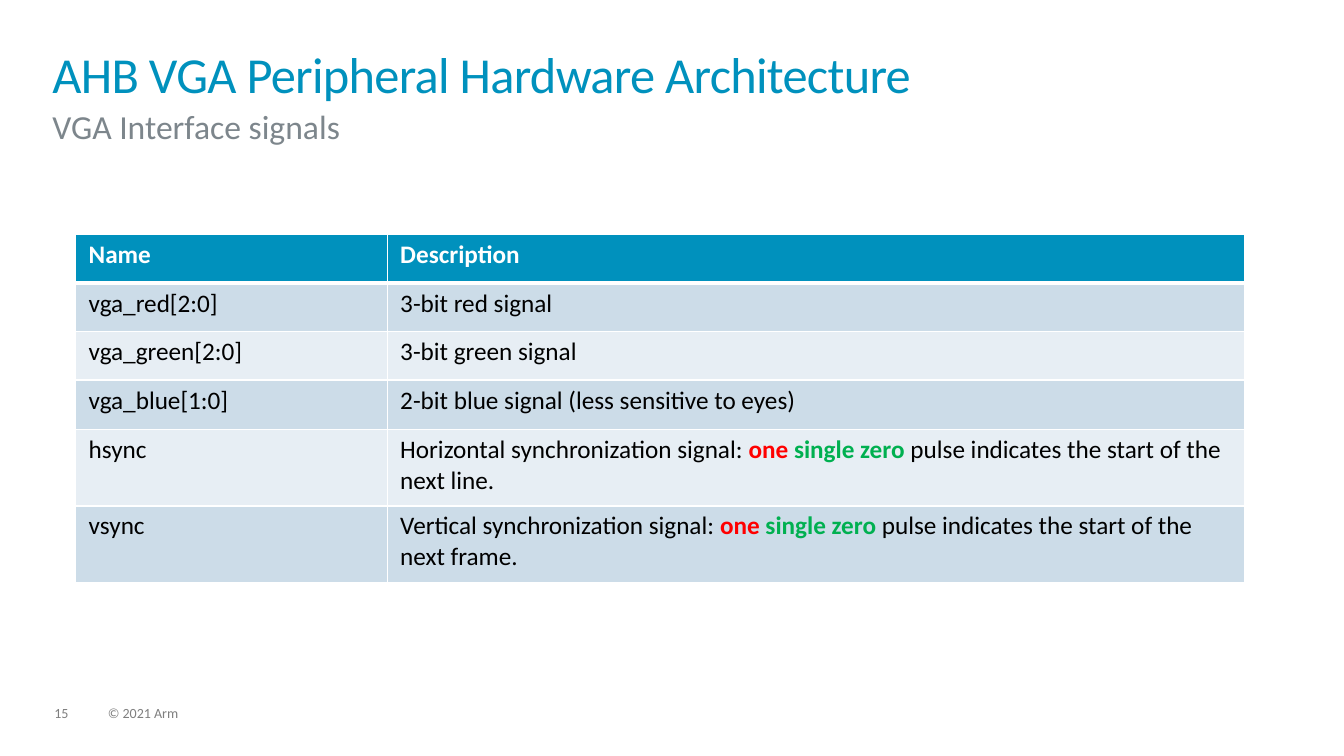
from lxml import etree
from pptx import Presentation
from pptx.dml.color import RGBColor
from pptx.enum.text import MSO_ANCHOR, PP_ALIGN
from pptx.oxml.ns import qn
from pptx.util import Inches, Pt

TOP = MSO_ANCHOR.TOP
LEFT = PP_ALIGN.LEFT
FONT = "Calibri"
WIDTH, HEIGHT = 13.33, 7.5
TEAL, SLATE, GRAY = "0091BD", "7D868C", "7F7F7F"
WHITE, BLACK, RED, GREEN = "FFFFFF", "000000", "FF0000", "00B050"
BANDS = ["CCDCE8", "E7EEF4"]
COLUMN_WIDTHS = [3.09, 8.5]
ROW_HEIGHTS = [0.48, 0.48, 0.48, 0.49, 0.76, 0.76]


def sync_description(direction, unit):
    """Return the runs describing a synchronization signal."""
    return [
        (f"{direction} synchronization signal: ", {}),
        ("one ", {"color": RED, "bold": True}),
        ("single zero", {"color": GREEN, "bold": True}),
        (f" pulse indicates the start of the next {unit}.", {}),
    ]


SIGNALS = [
    ("Name", "Description"),
    ("vga_red[2:0]", "3-bit red signal"),
    ("vga_green[2:0]", "3-bit green signal"),
    ("vga_blue[1:0]", "2-bit blue signal (less sensitive to eyes)"),
    ("hsync", sync_description("Horizontal", "line")),
    ("vsync", sync_description("Vertical", "frame")),
]


def rgb(value):
    """Turn a hex string into a colour."""
    return RGBColor.from_string(value)


def add_run(paragraph, text, size=18, color=BLACK, bold=False, tracking=None):
    """Add one formatted run; tracking is in points."""
    run = paragraph.add_run()
    run.text = text
    run.font.name = FONT
    run.font.size = Pt(size)
    run.font.bold = bold
    run.font.color.rgb = rgb(color)
    if tracking is not None:
        run.font._element.set("spc", str(round(tracking * 100)))


def add_text(slide, text, box, line_spacing=1.0, **style):
    """Add a text box without insets at left, top, width, height."""
    frame = slide.shapes.add_textbox(*map(Inches, box)).text_frame
    frame.word_wrap = True
    frame.vertical_anchor = TOP
    frame.margin_left = frame.margin_right = 0
    frame.margin_top = frame.margin_bottom = 0
    paragraph = frame.paragraphs[0]
    paragraph.alignment = LEFT
    paragraph.line_spacing = line_spacing
    add_run(paragraph, text, **style)


def add_border(cell, side, width):
    """Draw one white cell border; side is L, R, T or B."""
    properties = cell._tc.get_or_add_tcPr()
    line = etree.SubElement(properties, qn(f"a:ln{side}"), w=str(Pt(width)))
    fill = etree.SubElement(line, qn("a:solidFill"))
    etree.SubElement(fill, qn("a:srgbClr"), val=WHITE)


def fill_cell(cell, content, row):
    """Style one cell by its row and write its text or runs."""
    header = row == 0
    widths = {
        "L": 1,
        "R": 1,
        "T": 3 if row == 1 else 1,
        "B": 3 if header else 1,
    }
    for side, width in widths.items():
        add_border(cell, side, width)
    cell.fill.solid()
    cell.fill.fore_color.rgb = rgb(TEAL if header else BANDS[(row - 1) % 2])
    cell.vertical_anchor = TOP
    cell.margin_left = cell.margin_right = Inches(0.13)
    cell.margin_top = cell.margin_bottom = Inches(0.05)
    style = {"color": WHITE, "bold": True} if header else {}
    runs = [(content, style)] if isinstance(content, str) else content
    paragraph = cell.text_frame.paragraphs[0]
    paragraph.alignment = LEFT
    for text, run_style in runs:
        add_run(paragraph, text, **run_style)


def add_heading(slide, left, top, width):
    """Place the title with the subtitle below it."""
    add_text(slide, "AHB VGA Peripheral Hardware Architecture",
             (left, top, width, 0.72), line_spacing=0.85,
             size=36, color=TEAL, tracking=-0.5)
    add_text(slide, "VGA Interface signals", (left, top + 0.53, width, 0.38),
             size=24, color=SLATE)


def add_signal_table(slide, left, top):
    """Place the table of interface signals."""
    size = map(Inches, (left, top, sum(COLUMN_WIDTHS), sum(ROW_HEIGHTS)))
    table = slide.shapes.add_table(
        len(SIGNALS), len(COLUMN_WIDTHS), *size).table
    for column, width in zip(table.columns, COLUMN_WIDTHS):
        column.width = Inches(width)
    for row, (height, contents) in enumerate(zip(ROW_HEIGHTS, SIGNALS)):
        table.rows[row].height = Inches(height)
        for column, content in enumerate(contents):
            fill_cell(table.cell(row, column), content, row)


def add_footer(slide, left, top):
    """Place the page number and the copyright line."""
    style = {"size": 10, "color": GRAY, "line_spacing": 0.9}
    add_text(slide, "15", (left, top, 0.34, 0.15), **style)
    add_text(slide, "© 2021 Arm", (left + 0.53, top, 5.07, 0.15), **style)


def main():
    """Build and save the slide."""
    presentation = Presentation()
    presentation.slide_width = Inches(WIDTH)
    presentation.slide_height = Inches(HEIGHT)
    slide = presentation.slides.add_slide(presentation.slide_layouts[6])
    add_footer(slide, 0.54, 7.01)
    add_signal_table(slide, 0.75, 2.33)
    add_heading(slide, 0.52, 0.52, 12.28)
    presentation.save("out.pptx")


if __name__ == "__main__":
    main()
